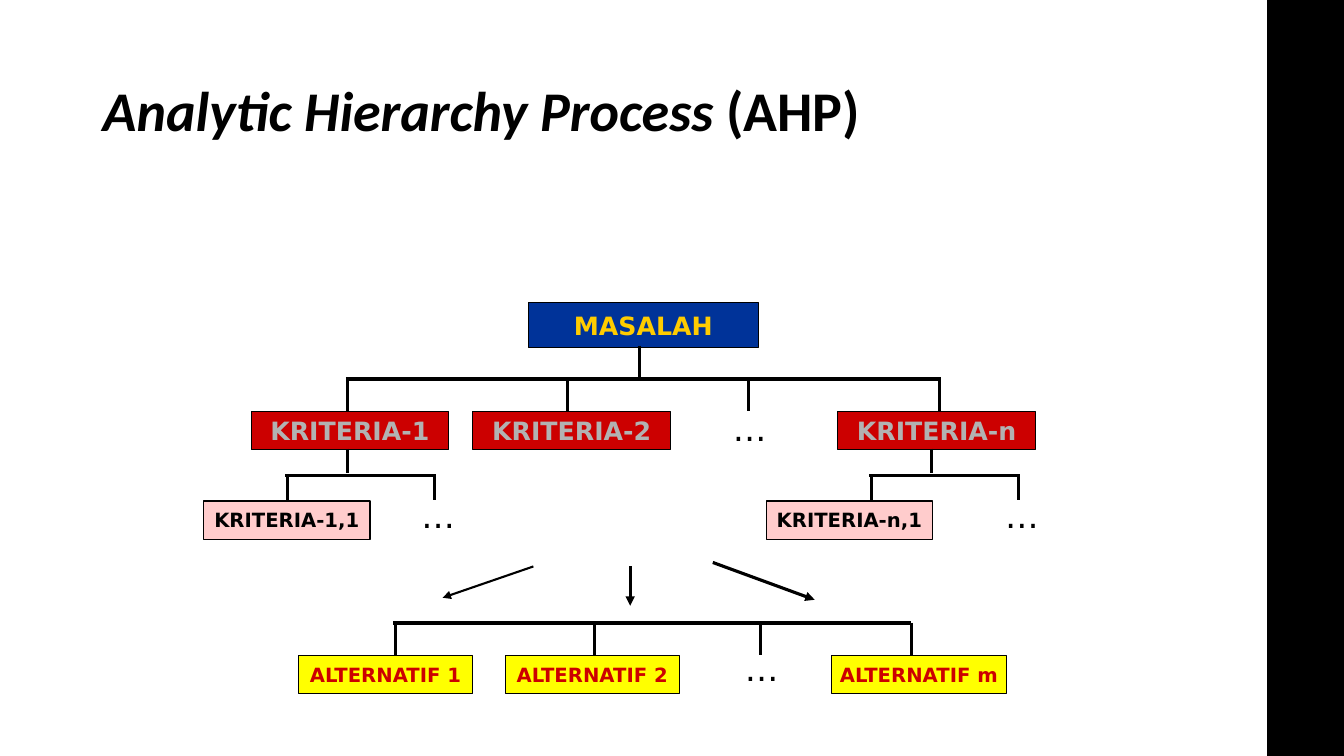
"""Build a slide showing the Analytic Hierarchy Process as a tree."""
from lxml import etree
from pptx import Presentation
from pptx.dml.color import RGBColor
from pptx.enum.shapes import MSO_CONNECTOR, MSO_SHAPE
from pptx.enum.text import MSO_ANCHOR, MSO_AUTO_SIZE, PP_ALIGN
from pptx.oxml.ns import qn
from pptx.util import Inches, Pt

BLACK = RGBColor(0x00, 0x00, 0x00)
WHITE = RGBColor(0xFF, 0xFF, 0xFF)
BLUE = RGBColor(0x00, 0x33, 0x99)
GOLD = RGBColor(0xFF, 0xCC, 0x00)
RED = RGBColor(0xCC, 0x00, 0x00)
GRAY = RGBColor(0xB2, 0xB2, 0xB2)
PINK = RGBColor(0xFF, 0xCC, 0xCC)
YELLOW = RGBColor(0xFF, 0xFF, 0x00)

deck = Presentation()
deck.slide_width, deck.slide_height = Inches(13.33), Inches(7.5)
page = deck.slides.add_slide(deck.slide_layouts[6])
page.background.fill.solid()
page.background.fill.fore_color.rgb = WHITE


def add_box(left, top, width, height, fill, border=0.75):
    box = page.shapes.add_shape(
        MSO_SHAPE.RECTANGLE, Inches(left), Inches(top), Inches(width), Inches(height))
    box.shadow.inherit = False
    box.fill.solid()
    box.fill.fore_color.rgb = fill
    box.line.color.rgb = BLACK
    box.line.width = Pt(border)
    return box


def add_line(x1, y1, x2, y2, width=2.25):
    line = page.shapes.add_connector(
        MSO_CONNECTOR.STRAIGHT, Inches(x1), Inches(y1), Inches(x2), Inches(y2))
    line.line.color.rgb = BLACK
    line.line.width = Pt(width)
    etree.SubElement(line._element.spPr, qn("a:effectLst"))
    return line


add_box(12.57, 0, 0.76, 7.5, BLACK, 1)

title = page.shapes.add_textbox(Inches(0.92), Inches(0.4), Inches(11.5), Inches(1.45))
title.text_frame.word_wrap = True
title.text_frame.vertical_anchor = MSO_ANCHOR.MIDDLE
heading = title.text_frame.paragraphs[0]
heading.line_spacing = 0.9
for words, italic in [("Analytic Hierarchy Process", True), (" (AHP)", False)]:
    span = heading.add_run()
    span.text = words
    span.font.name = "Calibri"
    span.font.size = Pt(40)
    span.font.bold = True
    span.font.italic = italic
    span.font.color.rgb = BLACK

levels = [
    (3, 2.28, 0.45, BLUE, GOLD, 18, [("MASALAH", 5.24)]),
    (4.08, 1.96, 0.38, RED, GRAY, 18,
     [("KRITERIA-1", 2.49), ("KRITERIA-2", 4.69), ("KRITERIA-n", 8.31)]),
    (4.97, 1.65, 0.38, PINK, BLACK, 14, [("KRITERIA-1,1", 2.02), ("KRITERIA-n,1", 7.6)]),
    (6.5, 1.73, 0.38, YELLOW, RED, 14,
     [("ALTERNATIF 1", 2.96), ("ALTERNATIF 2", 5.01), ("ALTERNATIF m", 8.25)]),
]
for top, width, height, fill, color, size, nodes in levels:
    for label, left in nodes:
        frame = add_box(left, top, width, height, fill).text_frame
        frame.word_wrap = False
        frame.vertical_anchor = MSO_ANCHOR.MIDDLE
        frame.text = label
        para = frame.paragraphs[0]
        para.alignment = PP_ALIGN.CENTER
        span = para.runs[0]
        span.font.name = "DejaVu Sans"
        span.font.size = Pt(size)
        span.font.bold = True
        span.font.color.rgb = color

brackets = [
    (3.43, 9.33, 3.76, 3, 0.32, [3.45, 5.63, 7.42, 9.32]),
    (2.83, 4.32, 4.72, 2.25, 0.24, [2.85, 4.31]),
    (8.62, 10.12, 4.72, 2.25, 0.24, [8.64, 10.1]),
    (3.9, 9.04, 6.18, 3, 0.32, [3.92, 5.9, 7.54, 9.04]),
]
for start, end, level, width, drop, branches in brackets:
    add_line(start, level, end, level, width)
    for branch in branches:
        add_line(branch, level, branch, level + drop)

for stem, top, bottom in [(6.34, 3.43, 3.75), (3.45, 4.45, 4.69), (9.24, 4.45, 4.69)]:
    add_line(stem, top, stem, bottom)

for left, top in [(7.17, 4), (4.08, 4.86), (9.87, 4.86), (7.29, 6.38)]:
    dots = page.shapes.add_textbox(Inches(left), Inches(top), Inches(0.48), Inches(0.51))
    dots.text_frame.word_wrap = False
    dots.text_frame.auto_size = MSO_AUTO_SIZE.SHAPE_TO_FIT_TEXT
    dots.text_frame.text = "…"
    span = dots.text_frame.paragraphs[0].runs[0]
    span.font.name = "DejaVu Sans"
    span.font.size = Pt(24)
    span.font.color.rgb = BLACK

arrows = [
    (5.29, 5.62, 4.39, 5.93, 1.5),
    (6.25, 5.62, 6.25, 6.01, 2.25),
    (7.07, 5.58, 8.08, 5.95, 2.25),
]
for ends in arrows:
    arrow = add_line(*ends)
    etree.SubElement(arrow.line._get_or_add_ln(), qn("a:tailEnd"), type="triangle")

deck.save("out.pptx")
